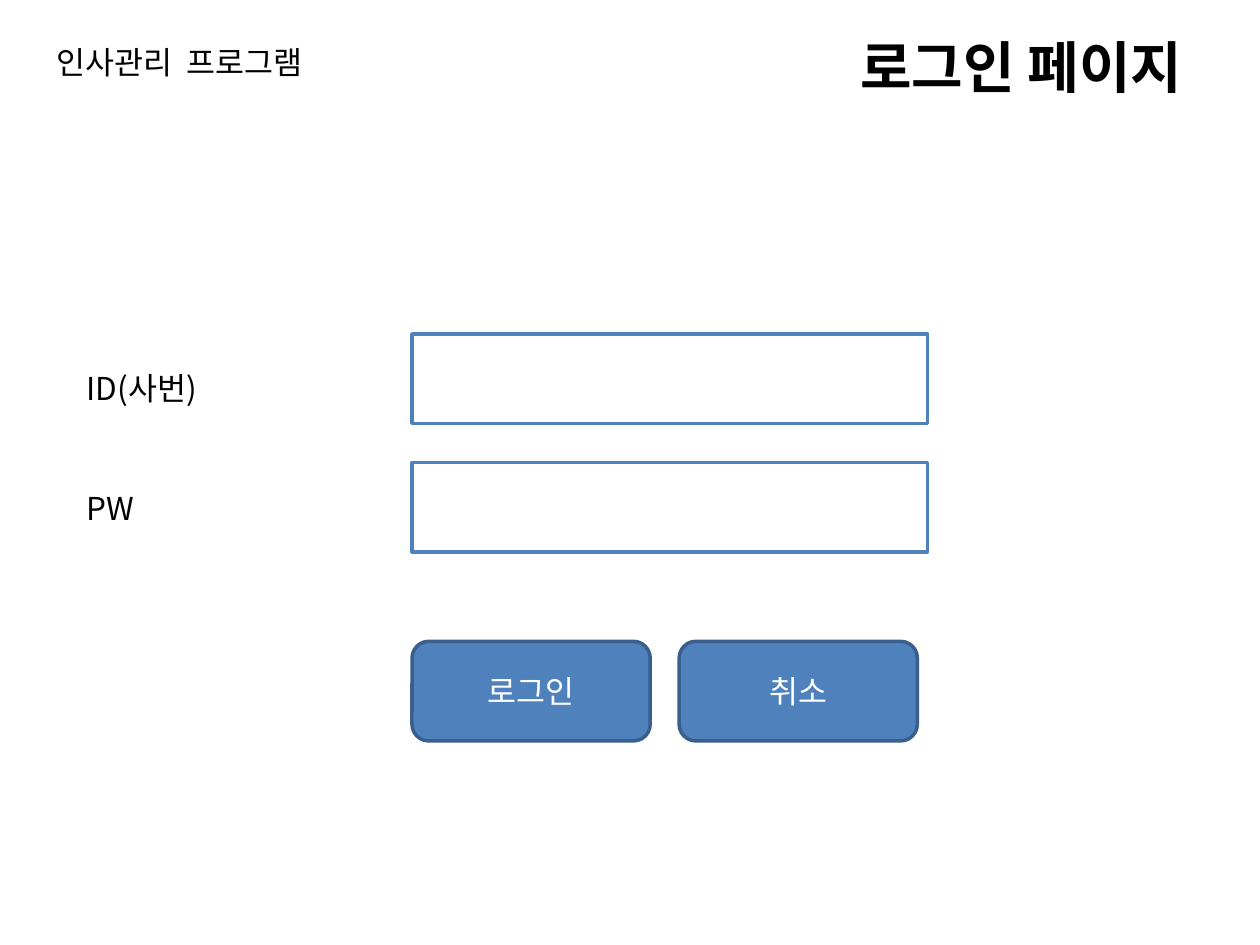
from lxml.etree import SubElement
from pptx import Presentation
from pptx.dml.color import RGBColor
from pptx.enum.shapes import MSO_SHAPE
from pptx.enum.text import MSO_ANCHOR, PP_ALIGN
from pptx.oxml.ns import qn
from pptx.util import Inches, Pt

FONT = "Noto Sans CJK KR"
COLORS = {
    "text": "000000",
    "paper": "FFFFFF",
    "accent": "4F81BD",
    "button_edge": "3A5F8C",
}

deck = Presentation()
deck.slide_width, deck.slide_height = Inches(10), Inches(7.5)
slide = deck.slides.add_slide(deck.slide_layouts[6])


def write(frame, text, color, size=18, bold=False):
    """Put one styled paragraph in a text frame and return it."""
    frame.word_wrap = True
    paragraph = frame.paragraphs[0]
    paragraph.text = text
    font = paragraph.font
    font.name, font.size, font.bold = FONT, Pt(size), bold
    font.color.rgb = RGBColor.from_string(COLORS[color])
    properties = paragraph._p.pPr.find(qn("a:defRPr"))
    SubElement(properties, qn("a:ea")).set("typeface", FONT)
    return paragraph


def add_box(preset, left, top, width, height, fill, edge):
    """Add a flat outlined shape, measured in inches."""
    box = slide.shapes.add_shape(
        preset, Inches(left), Inches(top), Inches(width), Inches(height))
    box.shadow.inherit = False
    box.fill.solid()
    box.fill.fore_color.rgb = RGBColor.from_string(COLORS[fill])
    box.line.color.rgb = RGBColor.from_string(COLORS[edge])
    box.line.width = Pt(2)
    return box


# Headings and field labels
label_left, label_width, label_height = 0.59, 2.6, 0.4
captions = [
    ("인사관리  프로그램", 0.35, 0.29, label_width, label_height, 18, False),
    ("로그인 페이지", 6.73, 0.21, 3.05, 0.64, 32, True),
    ("ID(사번)", label_left, 2.88, label_width, label_height, 18, False),
    ("PW", label_left, 3.83, label_width, label_height, 18, False),
]
for text, left, top, width, height, size, bold in captions:
    caption = slide.shapes.add_textbox(
        Inches(left), Inches(top), Inches(width), Inches(height))
    write(caption.text_frame, text, "text", size, bold)

# Input fields
form_left = 3.27
field_top, field_pitch = 2.65, 1.02
for row in range(2):
    add_box(MSO_SHAPE.RECTANGLE, form_left, field_top + row * field_pitch,
            4.09, 0.71, "paper", "accent")

# Buttons
button_top, button_pitch = 5.09, 2.12
for column, action in enumerate(["로그인", "취소"]):
    button = add_box(MSO_SHAPE.ROUNDED_RECTANGLE,
                     form_left + column * button_pitch, button_top,
                     1.89, 0.79, "accent", "button_edge")
    button.text_frame.vertical_anchor = MSO_ANCHOR.MIDDLE
    write(button.text_frame, action, "paper").alignment = PP_ALIGN.CENTER

deck.save("out.pptx")
